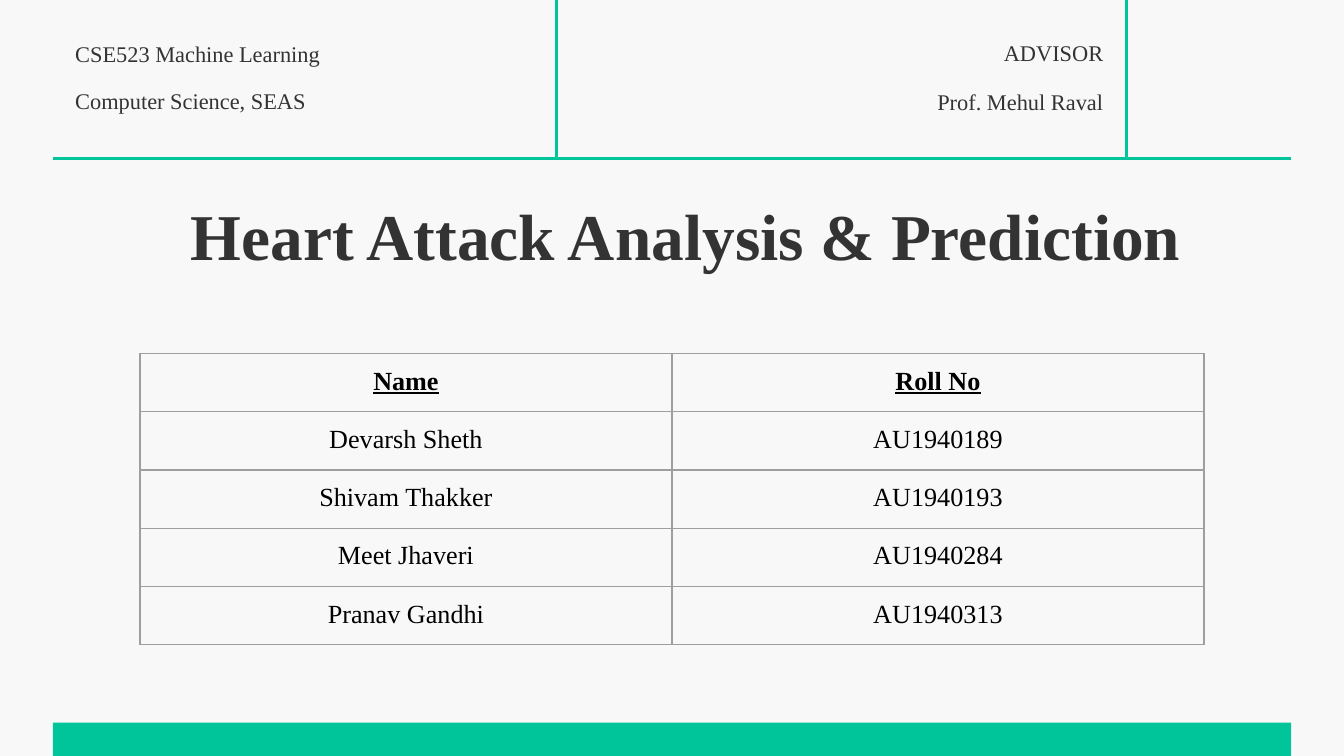
from dataclasses import dataclass

import lxml.etree
import pptx
import pptx.dml.color
import pptx.enum.shapes
import pptx.enum.text
import pptx.oxml.ns
import pptx.util

Pt = pptx.util.Pt
Align = pptx.enum.text.PP_ALIGN
AutoSize = pptx.enum.text.MSO_AUTO_SIZE
Anchor = pptx.enum.text.MSO_ANCHOR
qn = pptx.oxml.ns.qn

FONT = "Times New Roman"
COLORS = {
    "background": "F8F8F8",
    "accent": "00C49A",
    "text": "333333",
    "table_text": "000000",
    "border": "9E9E9E",
}
SLIDE_WIDTH, SLIDE_HEIGHT = 720, 405
MARGIN = 28.3
HEADER_BOTTOM = 85
BAR_TOP = 387.2


@dataclass
class Label:
    text: str
    left: float
    top: float
    width: float
    align: Align


@dataclass
class Rule:
    start: tuple[float, float]
    end: tuple[float, float]


LABELS = [
    Label("ADVISOR", 476.6, 15.1, 114.5, Align.RIGHT),
    Label("Prof. Mehul Raval", 476.6, 41.5, 114.5, Align.RIGHT),
    Label("CSE523 Machine Learning", 40.3, 15.6, 247.7, Align.LEFT),
    Label("Computer Science, SEAS", 40.3, 41, 234, Align.LEFT),
]
RULES = [
    Rule((298.1, HEADER_BOTTOM), (298.1, 0)),
    Rule((603.4, HEADER_BOTTOM), (603.4, 0)),
    Rule((MARGIN, HEADER_BOTTOM), (SLIDE_WIDTH - MARGIN, HEADER_BOTTOM)),
]
MEMBERS = [
    ("Name", "Roll No"),
    ("Devarsh Sheth", "AU1940189"),
    ("Shivam Thakker", "AU1940193"),
    ("Meet Jhaveri", "AU1940284"),
    ("Pranav Gandhi", "AU1940313"),
]


def color(name: str) -> pptx.dml.color.RGBColor:
    return pptx.dml.color.RGBColor.from_string(COLORS[name])


def format_paragraph(paragraph, size: float, color_name: str, align: Align,
                     bold: bool = False, underline: bool = False) -> None:
    paragraph.alignment = align
    for run in paragraph.runs:
        run.font.name = FONT
        run.font.size = Pt(size)
        run.font.bold = bold
        run.font.underline = underline
        run.font.color.rgb = color(color_name)


def fill_text_shape(shape, text: str, size: float, align: Align,
                    line_spacing: float, bold: bool = False) -> None:
    text_frame = shape.text_frame
    text_frame.text = text
    text_frame.word_wrap = True
    text_frame.auto_size = AutoSize.SHAPE_TO_FIT_TEXT
    text_frame.vertical_anchor = Anchor.TOP
    text_frame.margin_left = text_frame.margin_right = 0
    text_frame.margin_top = text_frame.margin_bottom = 0
    paragraph = text_frame.paragraphs[0]
    paragraph.line_spacing = line_spacing
    format_paragraph(paragraph, size, "text", align, bold)


def add_bottom_bar(slide) -> None:
    bar = slide.shapes.add_shape(
        pptx.enum.shapes.MSO_SHAPE.RECTANGLE, Pt(MARGIN), Pt(BAR_TOP),
        Pt(SLIDE_WIDTH - 2 * MARGIN), Pt(SLIDE_HEIGHT - BAR_TOP))
    bar.shadow.inherit = False
    bar.fill.solid()
    bar.fill.fore_color.rgb = color("accent")
    bar.line.fill.background()


def set_title(slide, text: str) -> None:
    title = slide.shapes.title
    title.left, title.top = Pt(48), Pt(96)
    title.width, title.height = Pt(639), Pt(42.5)
    fill_text_shape(title, text, 35, Align.CENTER, 1.2, bold=True)


def add_label(slide, label: Label) -> None:
    box = slide.shapes.add_textbox(
        Pt(label.left), Pt(label.top), Pt(label.width), Pt(14.4))
    fill_text_shape(box, label.text, 12, label.align, 1.4)


def add_rule(slide, rule: Rule) -> None:
    connector = slide.shapes.add_connector(
        pptx.enum.shapes.MSO_CONNECTOR.STRAIGHT,
        *map(Pt, rule.start + rule.end))
    connector.line.color.rgb = color("accent")
    connector.line.width = Pt(1.5)
    lxml.etree.SubElement(connector._element.spPr, qn("a:effectLst"))


def set_borders(cell) -> None:
    properties = cell._tc.get_or_add_tcPr()
    for position, side in enumerate(("lnL", "lnR", "lnT", "lnB")):
        line = lxml.etree.Element(qn(f"a:{side}"), w=str(Pt(0.75)))
        fill = lxml.etree.SubElement(line, qn("a:solidFill"))
        lxml.etree.SubElement(fill, qn("a:srgbClr"), val=COLORS["border"])
        properties.insert(position, line)


def add_member_table(slide, rows: list[tuple[str, str]]) -> None:
    column_width, row_height = 285, 30.2
    table = slide.shapes.add_table(
        len(rows), 2, Pt(75), Pt(189.3),
        Pt(2 * column_width), Pt(len(rows) * row_height)).table
    table.first_row = False
    table.horz_banding = False
    for row_index, values in enumerate(rows):
        is_header = row_index == 0
        for column_index, value in enumerate(values):
            cell = table.cell(row_index, column_index)
            cell.text_frame.text = value
            cell.margin_left = cell.margin_right = Pt(7.2)
            cell.margin_top = cell.margin_bottom = Pt(7.2)
            cell.fill.background()
            set_borders(cell)
            format_paragraph(cell.text_frame.paragraphs[0], 14, "table_text",
                             Align.CENTER, is_header, is_header)


def main() -> None:
    presentation = pptx.Presentation()
    presentation.slide_width = Pt(SLIDE_WIDTH)
    presentation.slide_height = Pt(SLIDE_HEIGHT)
    title_only_layout = presentation.slide_layouts[5]
    slide = presentation.slides.add_slide(title_only_layout)
    slide.background.fill.solid()
    slide.background.fill.fore_color.rgb = color("background")

    add_bottom_bar(slide)
    set_title(slide, "Heart Attack Analysis & Prediction")
    for label in LABELS:
        add_label(slide, label)
    for rule in RULES:
        add_rule(slide, rule)
    add_member_table(slide, MEMBERS)
    presentation.save("out.pptx")


if __name__ == "__main__":
    main()
